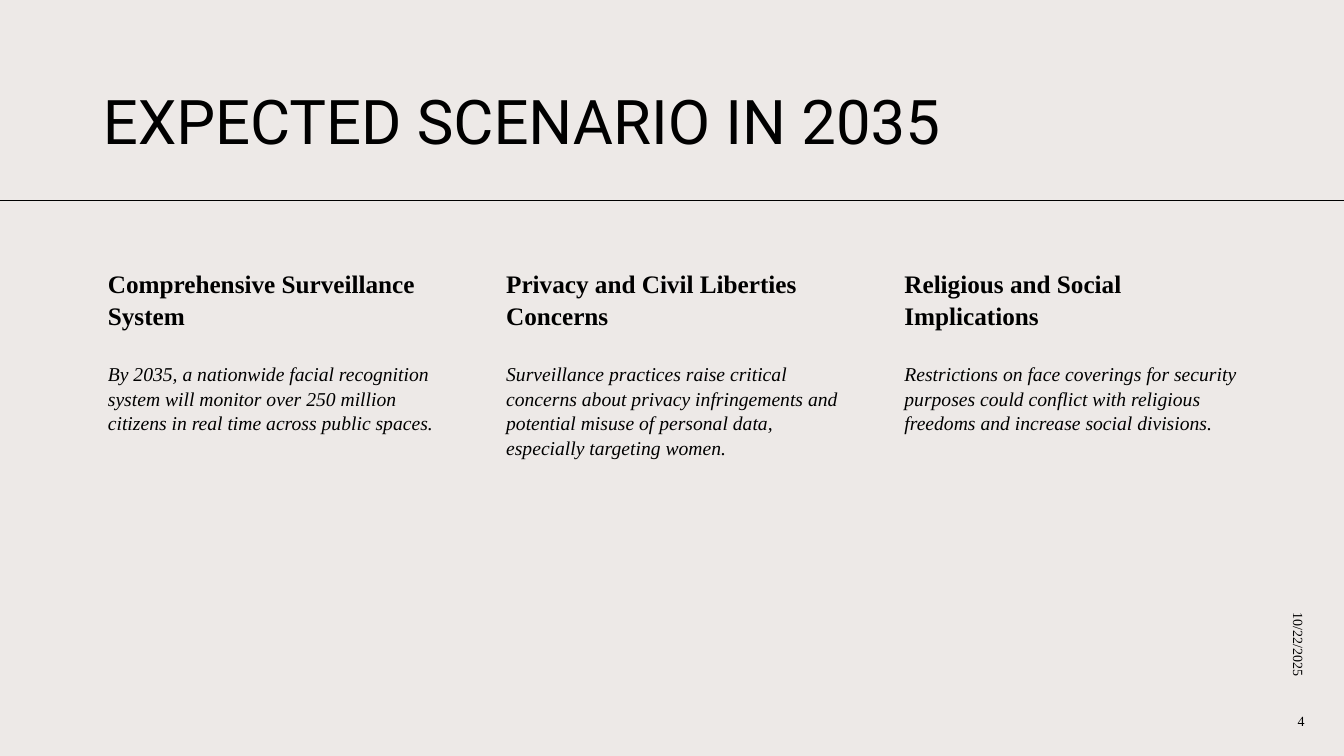
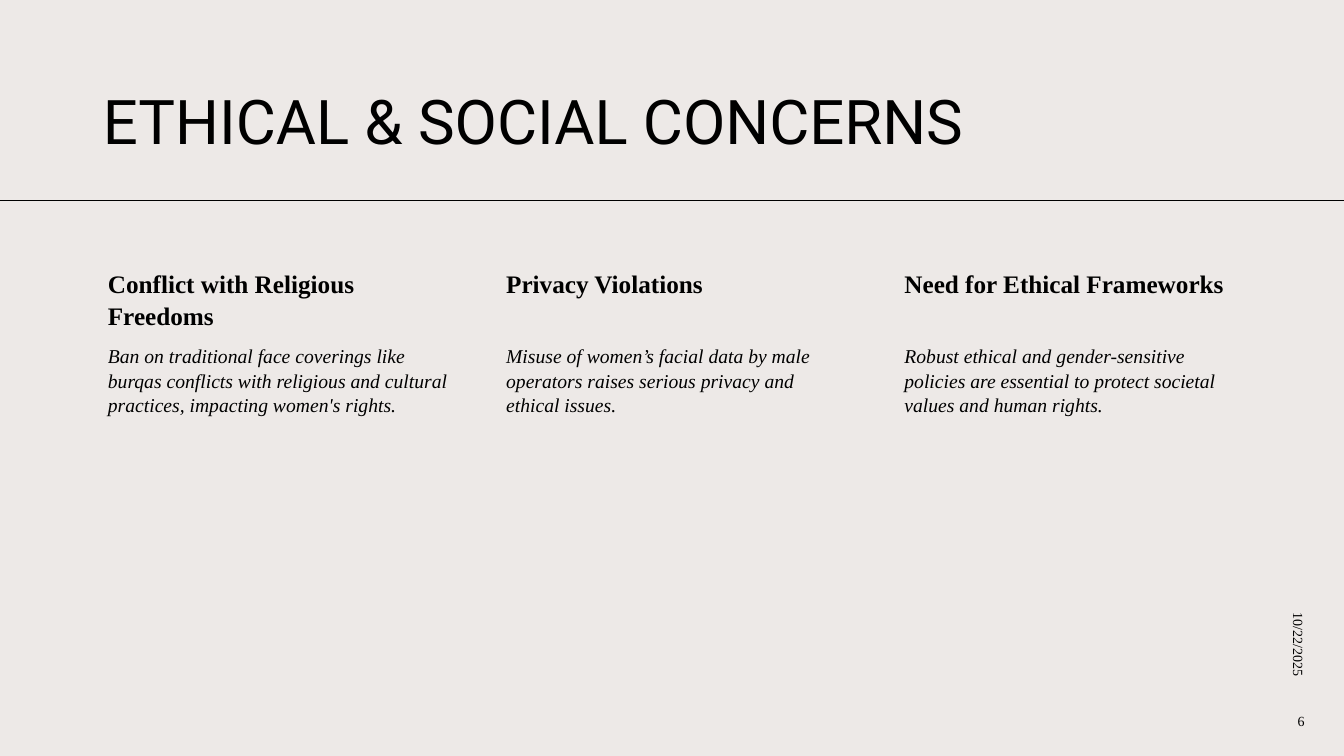
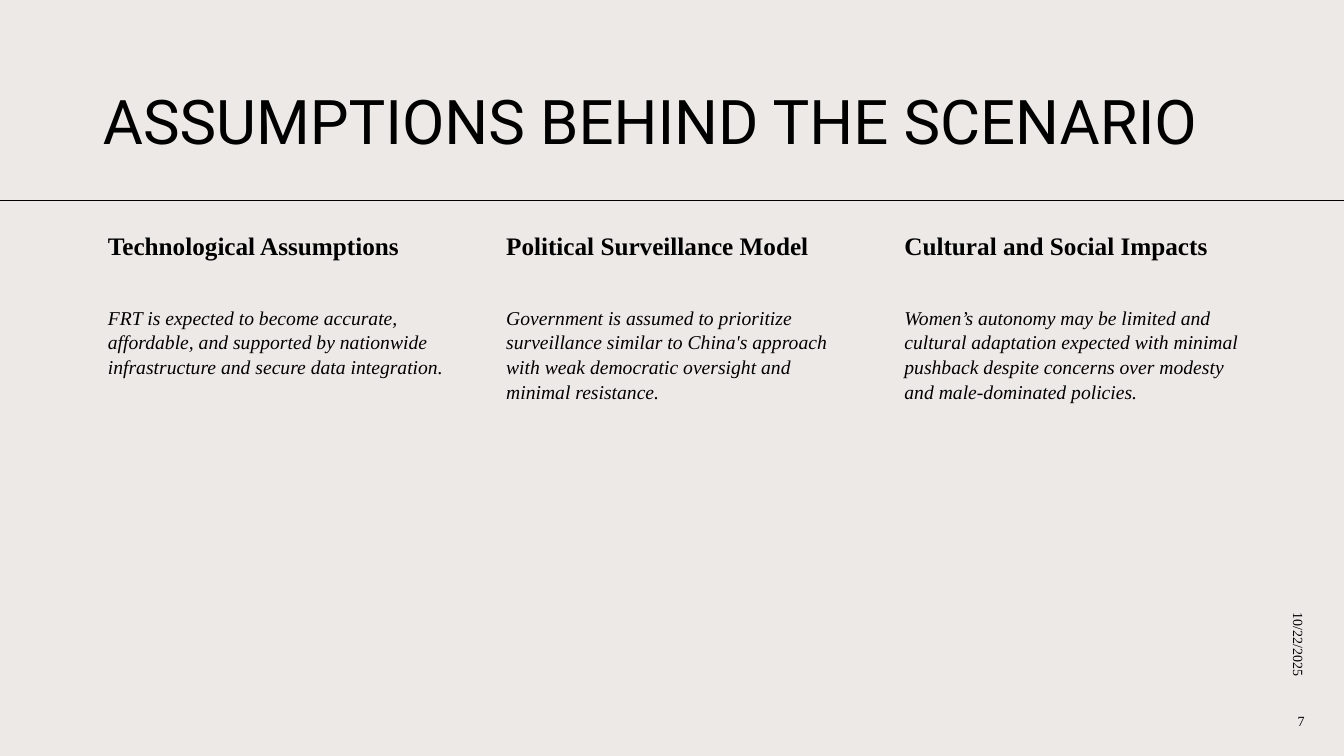
import pptx
import pptx.util
import pptx.dml.color
import pptx.enum.shapes
import pptx.enum.text
import pptx.oxml.ns
import lxml.etree

PX = 9144  # EMU in one px, 100 px to the inch
W, H = 1333, 750
ALIGN = pptx.enum.text.PP_ALIGN
ANCHOR = pptx.enum.text.MSO_ANCHOR


def px(n):
    return pptx.util.Emu(n * PX)


def rgb(value):
    return pptx.dml.color.RGBColor.from_string(value)


def put(target, values):
    for name, value in values.items():
        setattr(target, name, value)


class Deck:
    INK, PAPER = "000000", "EDE9E7"
    SERIF = "Times New Roman"
    TITLE = {"name": "Roboto", "size": pptx.util.Pt(44)}
    HEADING = {"name": SERIF, "size": pptx.util.Pt(18), "bold": True}
    BODY = {"name": SERIF, "size": pptx.util.Pt(14), "italic": True}
    SMALL = {"name": SERIF, "size": pptx.util.Pt(10)}
    # Columns: left edge, step, width, and height of heading plus body
    LEFT, STEP, COLUMN, BLOCK = 92, 395, 359, 448

    def __init__(self):
        self.prs = pptx.Presentation()
        put(self.prs, {"slide_width": px(W), "slide_height": px(H)})
        self.layout = self.prs.slide_layouts[5]
        fill = self.layout.background.fill
        fill.solid()
        fill.fore_color.rgb = rgb(self.PAPER)

    def slide(self, title, number):
        self.s = self.prs.slides.add_slide(self.layout)
        self.rule(199)
        self.title(title)
        self.footer("10/22/2025", number)

    def rule(self, y):
        line = self.s.shapes.add_connector(
            pptx.enum.shapes.MSO_CONNECTOR.STRAIGHT, px(W), px(y), px(0), px(y))
        line.line.color.rgb = rgb(self.INK)
        line.line.width = pptx.util.Pt(0.5)
        lxml.etree.SubElement(line._element.spPr, pptx.oxml.ns.qn("a:effectLst"))

    def set_text(self, sp, text, font, frame, para):
        tf = sp.text_frame
        put(tf, {"word_wrap": True, "auto_size": pptx.enum.text.MSO_AUTO_SIZE.NONE})
        put(tf, frame)
        p = tf.paragraphs[0]
        put(p, para)
        r = p.add_run()
        r.text = text
        put(r.font, font)
        r.font.color.rgb = rgb(self.INK)

    def title(self, text):
        sp = self.s.shapes.title
        put(sp, {"left": px(92), "top": px(40), "width": px(1150), "height": px(122)})
        self.set_text(sp, text, self.TITLE, {"vertical_anchor": ANCHOR.BOTTOM},
                      {"alignment": ALIGN.LEFT, "line_spacing": 0.9})

    def text(self, shapes, box, text, font, frame, para):
        sp = shapes.add_textbox(*map(px, box))
        self.set_text(sp, text, font, frame, para)
        return sp

    def footer(self, date, number):
        middle = {"vertical_anchor": ANCHOR.MIDDLE}
        sp = self.text(self.s.shapes, (1140, 513, 296, 40), date, self.SMALL,
                       middle, {"alignment": ALIGN.RIGHT})
        sp.rotation = 90
        self.text(self.s.shapes, (1259, 695, 63, 40), number, self.SMALL,
                  middle, {"alignment": ALIGN.CENTER})

    def columns(self, top, head, items):
        shapes = self.s.shapes.add_group_shape().shapes
        para = {"line_spacing": 1.05}
        for i, (heading, body) in enumerate(items):
            x = self.LEFT + i * self.STEP
            parts = ((heading, self.HEADING, top, head, 3, 3),
                     (body, self.BODY, top + head, self.BLOCK - head, 33, 2))
            for text, font, y, height, above, inset in parts:
                frame = {"margin_left": px(15), "margin_top": px(above),
                         "margin_right": px(inset), "margin_bottom": px(inset)}
                self.text(shapes, (x, y, self.COLUMN, height), text, font, frame, para)


# Title, page number, top of the columns, heading height, columns
SLIDES = [
    ("EXPECTED SCENARIO IN 2035", "4", 262, 63, [
        ("Comprehensive Surveillance System",
         "By 2035, a nationwide facial recognition system will monitor over "
         "250 million citizens in real time across public spaces."),
        ("Privacy and Civil Liberties Concerns",
         "Surveillance practices raise critical concerns about privacy infringements "
         "and potential misuse of personal data, especially targeting women."),
        ("Religious and Social Implications",
         "Restrictions on face coverings for security purposes could conflict with "
         "religious freedoms and increase social divisions."),
    ]),
    ("ETHICAL & SOCIAL CONCERNS", "6", 262, 45, [
        ("Conflict with Religious Freedoms",
         "Ban on traditional face coverings like burqas conflicts with religious "
         "and cultural practices, impacting women's rights."),
        ("Privacy Violations",
         "Misuse of women’s facial data by male operators raises serious privacy "
         "and ethical issues."),
        ("Need for Ethical Frameworks",
         "Robust ethical and gender-sensitive policies are essential to protect "
         "societal values and human rights."),
    ]),
    ("ASSUMPTIONS BEHIND THE SCENARIO", "7", 224, 45, [
        ("Technological Assumptions",
         "FRT is expected to become accurate, affordable, and supported by "
         "nationwide infrastructure and secure data integration."),
        ("Political Surveillance Model",
         "Government is assumed to prioritize surveillance similar to China's "
         "approach with weak democratic oversight and minimal resistance."),
        ("Cultural and Social Impacts",
         "Women’s autonomy may be limited and cultural adaptation expected with "
         "minimal pushback despite concerns over modesty and male-dominated policies."),
    ]),
]


def main():
    deck = Deck()
    for title, number, top, head, items in SLIDES:
        deck.slide(title, number)
        deck.columns(top, head, items)
    deck.prs.save("out.pptx")


if __name__ == "__main__":
    main()
